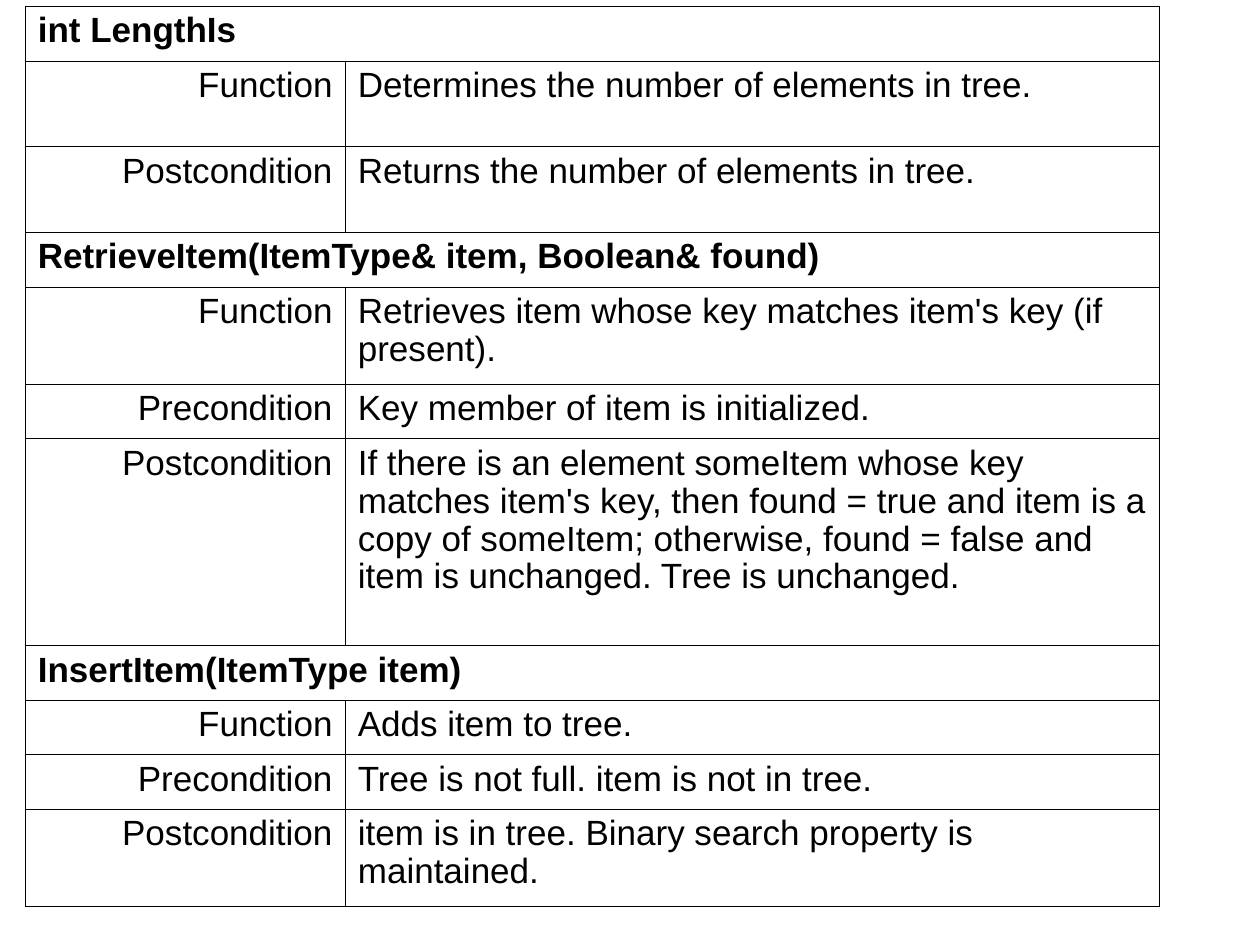
from dataclasses import dataclass

from lxml.etree import SubElement
from pptx import Presentation
from pptx.dml.color import RGBColor
from pptx.enum.text import PP_ALIGN
from pptx.oxml.ns import qn
from pptx.table import Table, _Cell
from pptx.util import Pt

COLORS = {"ink": "000000"}
COLUMN_WIDTHS = (182.9, 465.1)
LEFT, TOP = 14.4, 3.6
BORDER_WIDTH = 0.45
SINGLE, SPACED, DOUBLE, TALL = 31.2, 49, 55.6, 118.2


@dataclass(frozen=True)
class Clause:
    label: str
    text: str
    height: float = SINGLE


@dataclass(frozen=True)
class Operation:
    signature: str
    clauses: tuple[Clause, ...]


OPERATIONS = (
    Operation("int LengthIs", (
        Clause("Function", "Determines the number of elements in tree.", SPACED),
        Clause("Postcondition", "Returns the number of elements in tree.", SPACED),
    )),
    Operation("RetrieveItem(ItemType& item, Boolean& found)", (
        Clause("Function",
               "Retrieves item whose key matches item's key (if present).", DOUBLE),
        Clause("Precondition", "Key member of item is initialized."),
        Clause("Postcondition",
               "If there is an element someItem whose key matches item's key, "
               "then found = true and item is a copy of someItem; otherwise, "
               "found = false and item is unchanged. Tree is unchanged.", TALL),
    )),
    Operation("InsertItem(ItemType item)", (
        Clause("Function", "Adds item to tree."),
        Clause("Precondition", "Tree is not full. item is not in tree."),
        Clause("Postcondition",
               "item is in tree. Binary search property is maintained.", DOUBLE),
    )),
)


def outline(cell: _Cell) -> None:
    """Draw a thin border on every side of an unfilled cell."""
    properties = cell._tc.get_or_add_tcPr()
    for side in ("a:lnL", "a:lnR", "a:lnT", "a:lnB"):
        border = SubElement(properties, qn(side), w=str(int(Pt(BORDER_WIDTH))))
        fill = SubElement(border, qn("a:solidFill"))
        SubElement(fill, qn("a:srgbClr"), val=COLORS["ink"])
    cell.fill.background()


def write(cell: _Cell, text: str, bold: bool = False,
          alignment: PP_ALIGN = PP_ALIGN.LEFT) -> None:
    paragraph = cell.text_frame.paragraphs[0]
    paragraph.alignment = alignment
    paragraph.line_spacing = 0.97
    run = paragraph.add_run()
    run.text = text
    font_format = {"name": "Arial", "size": Pt(20), "bold": bold}
    for attribute, value in font_format.items():
        setattr(run.font, attribute, value)
    run.font.color.rgb = RGBColor.from_string(COLORS["ink"])


def fill_specification(table: Table) -> None:
    row = 0
    for operation in OPERATIONS:
        table.rows[row].height = Pt(SINGLE)
        heading = table.cell(row, 0)
        heading.merge(table.cell(row, 1))
        write(heading, operation.signature, bold=True)
        for row, clause in enumerate(operation.clauses, row + 1):
            table.rows[row].height = Pt(clause.height)
            write(table.cell(row, 0), clause.label, alignment=PP_ALIGN.RIGHT)
            write(table.cell(row, 1), clause.text)
        row += 1


def main() -> None:
    presentation = Presentation()
    presentation.slide_width, presentation.slide_height = Pt(720), Pt(540)
    slide = presentation.slides.add_slide(
        presentation.slide_layouts.get_by_name("Blank"))

    heights = [height for operation in OPERATIONS
               for height in (SINGLE, *(c.height for c in operation.clauses))]
    table = slide.shapes.add_table(
        len(heights), len(COLUMN_WIDTHS), Pt(LEFT), Pt(TOP),
        Pt(sum(COLUMN_WIDTHS)), Pt(sum(heights))).table
    for flag in ("first_row", "horz_banding"):
        setattr(table, flag, False)
    for column, width in zip(table.columns, COLUMN_WIDTHS):
        column.width = Pt(width)
    for cell in table.iter_cells():
        outline(cell)
    fill_specification(table)

    presentation.save("out.pptx")


if __name__ == "__main__":
    main()
